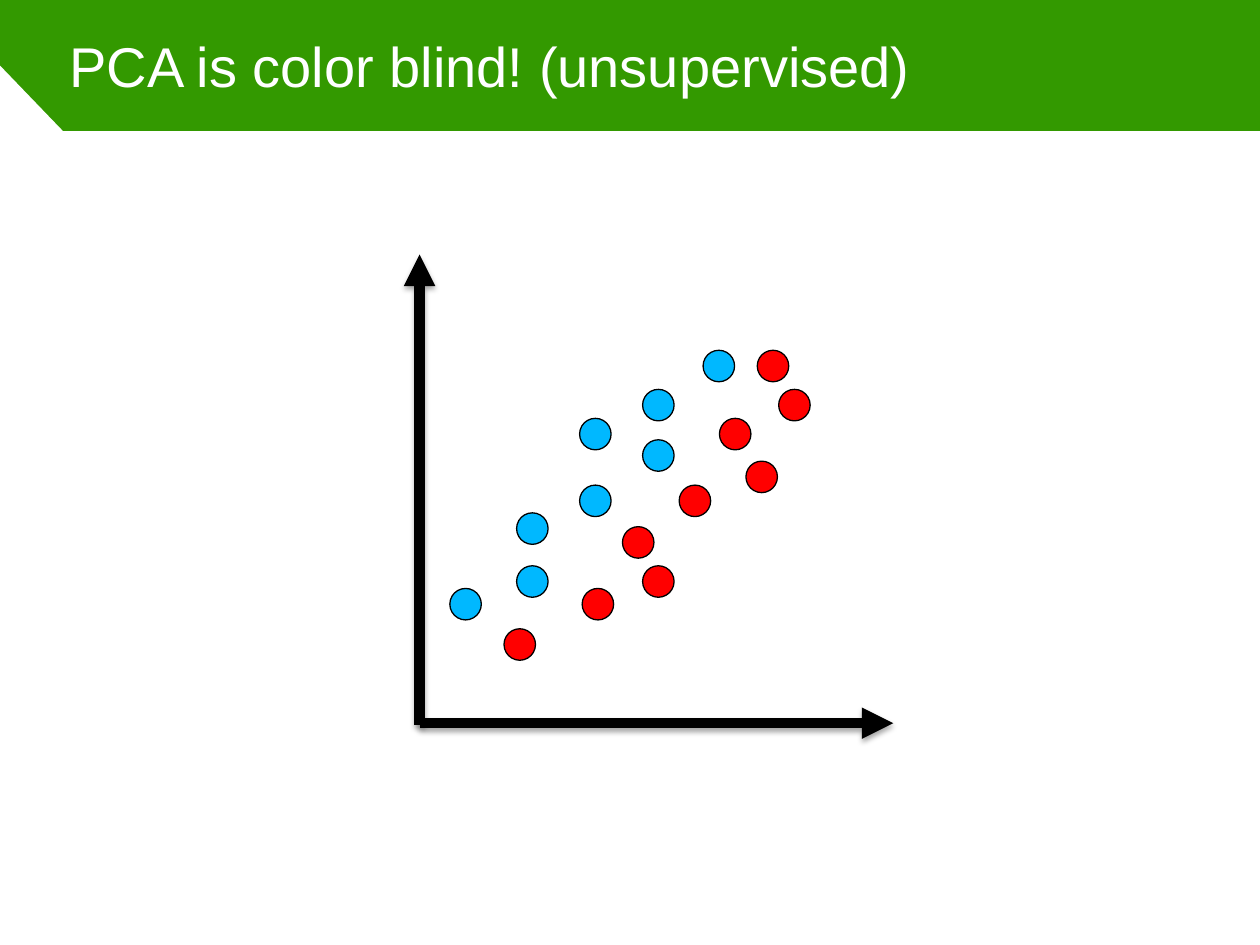
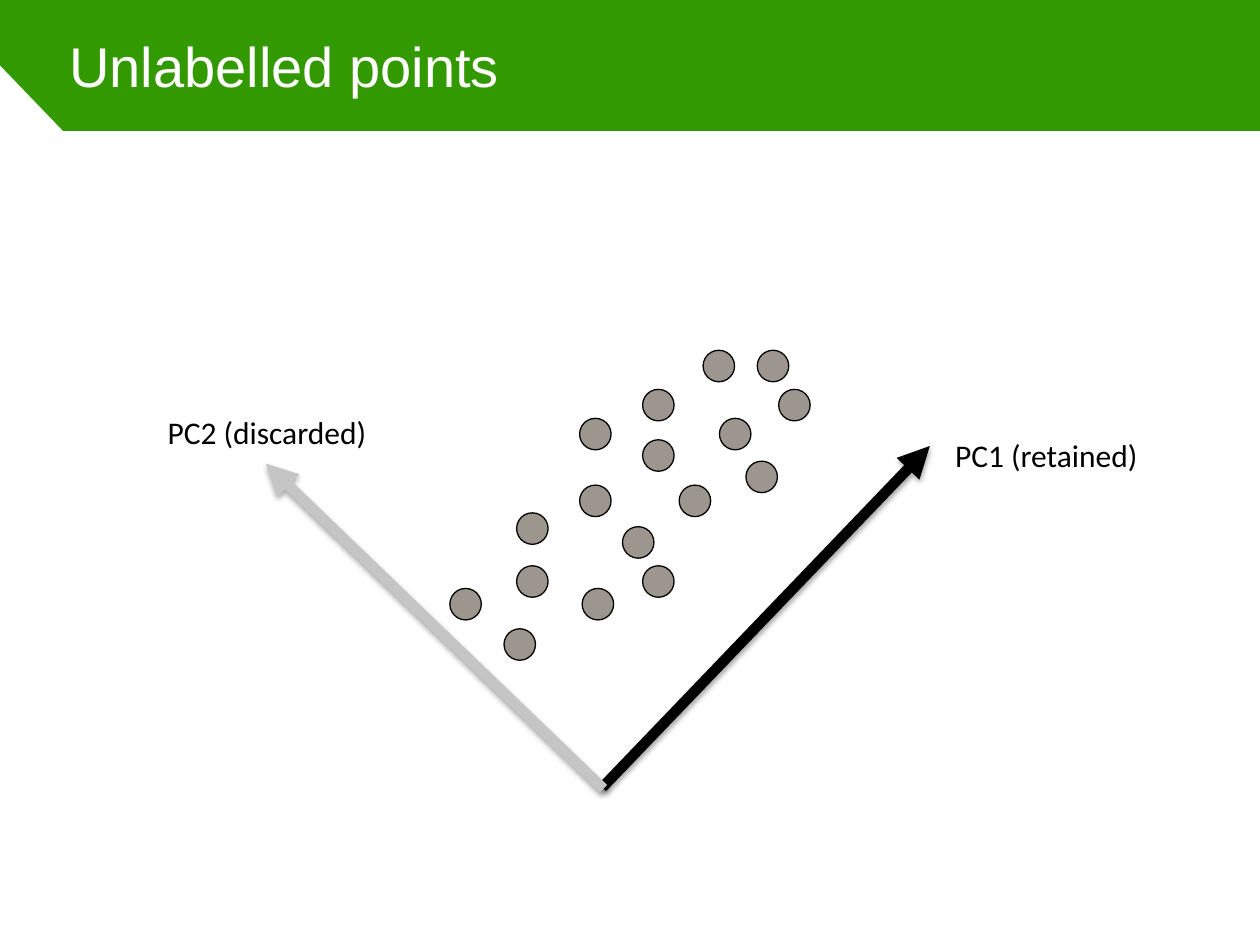
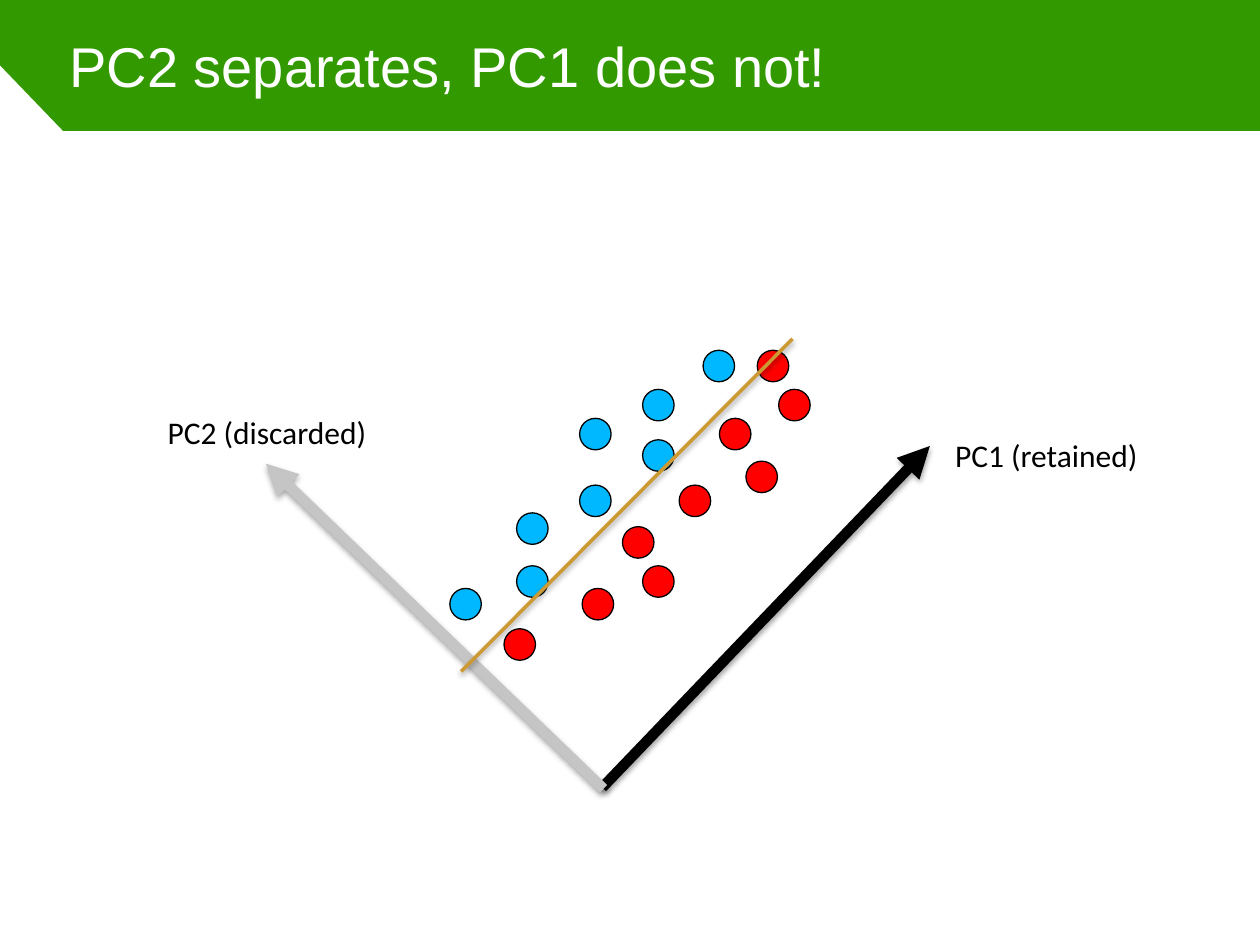
from dataclasses import dataclass

import lxml.etree
import pptx
import pptx.dml.color
import pptx.enum.shapes
import pptx.enum.text
import pptx.oxml
import pptx.oxml.ns
import pptx.util

Inches = pptx.util.Inches
Pt = pptx.util.Pt


@dataclass(frozen=True)
class Theme:
    band: str = "339900"
    paper: str = "FFFFFF"
    ink: str = "000000"
    blue: str = "00B8FF"
    red: str = "FF0000"
    unlabelled: str = "9C968E"
    discarded: str = "C5C5C5"
    separator: str = "CC9933"
    title_font: str = "Arial"
    label_font: str = "Calibri"
    title_size: int = 32
    label_size: int = 18
    axis_width: int = 6
    separator_width: int = 2
    outline_width: float = 0.75


@dataclass(frozen=True)
class Box:
    left: float
    top: float
    width: float
    height: float

    def at(self, x, y):
        """Slide position of a point given relative to the box."""
        return Inches(self.left + x), Inches(self.top + y)


THEME = Theme()
SLIDE = Box(0, 0, 10, 7.5)
TITLE = Box(0.5, 0, 9, 1.04)
CLOUD = Box(3.57, 2.78, 2.86, 2.46)
AXES = Box(3.33, 2.02, 3.76, 3.73)
COMPONENTS = Box(1.28, 3.23, 7.99, 3.03)

DOT = 0.25
BLUE_POINTS = [(0.53, 1.29), (1.03, 0.54), (1.53, 0.31), (2.01, 0),
               (0.53, 1.71), (1.03, 1.07), (0, 1.89), (1.53, 0.71)]
RED_POINTS = [(2.61, 0.31), (2.14, 0.54), (1.05, 1.89), (0.43, 2.21), (2.44, 0),
              (1.53, 1.71), (1.37, 1.4), (2.35, 0.88), (1.82, 1.07)]

SHADOW = """<a:effectLst %s>
  <a:outerShdw blurRad="40000" dist="23000" dir="5400000" rotWithShape="0">
    <a:srgbClr val="000000"><a:alpha val="35000"/></a:srgbClr>
  </a:outerShdw>
</a:effectLst>""" % pptx.oxml.ns.nsdecls("a")


def paint(fill, color):
    fill.solid()
    fill.fore_color.rgb = pptx.dml.color.RGBColor.from_string(color)


def write(frame, text, font, size, color):
    """Fill a text frame with one formatted line with even insets."""
    frame.text = text
    frame.margin_left = frame.margin_right = Inches(0.05)
    frame.margin_top = frame.margin_bottom = Inches(0.05)
    paragraph = frame.paragraphs[0]
    paragraph.alignment = pptx.enum.text.PP_ALIGN.LEFT
    for run in paragraph.runs:
        run.font.name = font
        run.font.size = Pt(size)
        run.font.color.rgb = pptx.dml.color.RGBColor.from_string(color)


def draw_line(shapes, start, end, color, width, arrow=True):
    """Draw a shadowed line, with an arrowhead at its end if wanted."""
    line = shapes.add_connector(pptx.enum.shapes.MSO_CONNECTOR.STRAIGHT, *start, *end)
    paint(line.line.fill, color)
    line.line.width = Pt(width)
    properties = line.element.spPr
    if arrow:
        outline = properties.find(pptx.oxml.ns.qn("a:ln"))
        lxml.etree.SubElement(outline, pptx.oxml.ns.qn("a:tailEnd"), type="triangle")
    properties.append(pptx.oxml.parse_xml(SHADOW))


def add_titled_slide(prs, layout, title):
    slide = prs.slides.add_slide(layout)
    heading = slide.shapes.title
    heading.left, heading.top = TITLE.at(0, 0)
    heading.width, heading.height = Inches(TITLE.width), Inches(TITLE.height)
    frame = heading.text_frame
    write(frame, title, THEME.title_font, THEME.title_size, THEME.paper)
    frame.vertical_anchor = pptx.enum.text.MSO_ANCHOR.MIDDLE
    frame.auto_size = pptx.enum.text.MSO_AUTO_SIZE.NONE
    return slide


def move_panel_to_layout(slide, layout):
    """Build the notched white panel and share it through the layout."""
    corners = [(TITLE.left, TITLE.height), (0, TITLE.height / 2), (0, SLIDE.height),
               (SLIDE.width, SLIDE.height), (SLIDE.width, TITLE.height)]
    start, *others = [SLIDE.at(x, y) for x, y in corners]
    builder = slide.shapes.build_freeform(*start)
    builder.add_line_segments(others, close=True)
    panel = builder.convert_to_shape()
    panel.shadow.inherit = False
    paint(panel.fill, THEME.paper)
    panel.line.fill.background()
    panel.element.xpath(".//p:cNvPr")[0].set("id", "99")
    layout.shapes.element.insert(2, panel.element)


def draw_cloud(shapes, box, blue, red):
    for points, color in ((BLUE_POINTS, blue), (RED_POINTS, red)):
        for x, y in points:
            dot = shapes.add_shape(pptx.enum.shapes.MSO_SHAPE.OVAL, *box.at(x, y),
                                   Inches(DOT), Inches(DOT))
            dot.shadow.inherit = False
            paint(dot.fill, color)
            paint(dot.line.fill, THEME.ink)
            dot.line.width = Pt(THEME.outline_width)


def draw_axes(shapes, box):
    baseline = box.height - 0.01
    draw_line(shapes, box.at(0, baseline), box.at(box.width, baseline),
              THEME.ink, THEME.axis_width)
    draw_line(shapes, box.at(0, box.height), box.at(0, 0), THEME.ink, THEME.axis_width)


def draw_components(shapes, box):
    """Draw the two principal directions and their labels."""
    draw_line(shapes, box.at(3.5, 3.02), box.at(6.1, 0.31), THEME.ink, THEME.axis_width)
    draw_line(shapes, box.at(3.51, 3.03), box.at(0.83, 0.45),
              THEME.discarded, THEME.axis_width)
    for text, x, y, width in (("PC1 (retained)", 6.25, 0.18, 1.74),
                              ("PC2 (discarded)", 0, 0, 1.92)):
        label = shapes.add_textbox(*box.at(x, y), Inches(width), Inches(0.41))
        frame = label.text_frame
        write(frame, text, THEME.label_font, THEME.label_size, THEME.ink)
        frame.word_wrap = False
        frame.auto_size = pptx.enum.text.MSO_AUTO_SIZE.SHAPE_TO_FIT_TEXT


def draw_separator(shapes, box):
    draw_line(shapes, box.at(0.09, 2.55), box.at(2.72, -0.09),
              THEME.separator, THEME.separator_width, arrow=False)


def main():
    prs = pptx.Presentation()
    prs.slide_width, prs.slide_height = Inches(SLIDE.width), Inches(SLIDE.height)
    paint(prs.slide_master.background.fill, THEME.band)
    layout = prs.slide_layouts.get_by_name("Title Only")

    labelled = add_titled_slide(prs, layout, "PCA is color blind! (unsupervised)")
    move_panel_to_layout(labelled, layout)
    draw_cloud(labelled.shapes.add_group_shape().shapes, CLOUD, THEME.blue, THEME.red)
    draw_axes(labelled.shapes.add_group_shape().shapes, AXES)

    unlabelled = add_titled_slide(prs, layout, "Unlabelled points")
    draw_cloud(unlabelled.shapes, CLOUD, THEME.unlabelled, THEME.unlabelled)
    draw_components(unlabelled.shapes, COMPONENTS)

    separated = add_titled_slide(prs, layout, "PC2 separates, PC1 does not!")
    draw_cloud(separated.shapes.add_group_shape().shapes, CLOUD, THEME.blue, THEME.red)
    draw_components(separated.shapes, COMPONENTS)
    draw_separator(separated.shapes, CLOUD)

    prs.save("out.pptx")


if __name__ == "__main__":
    main()
